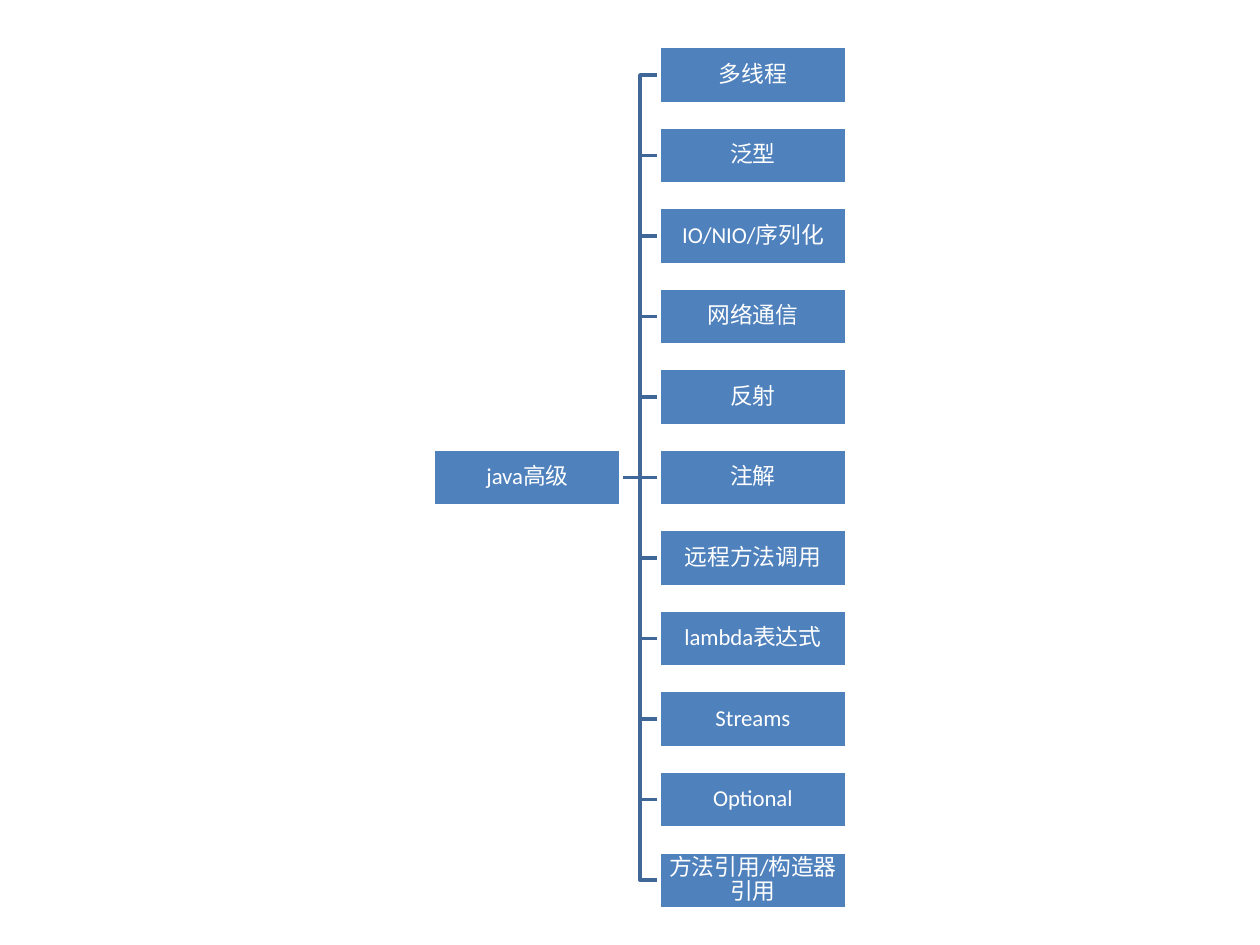
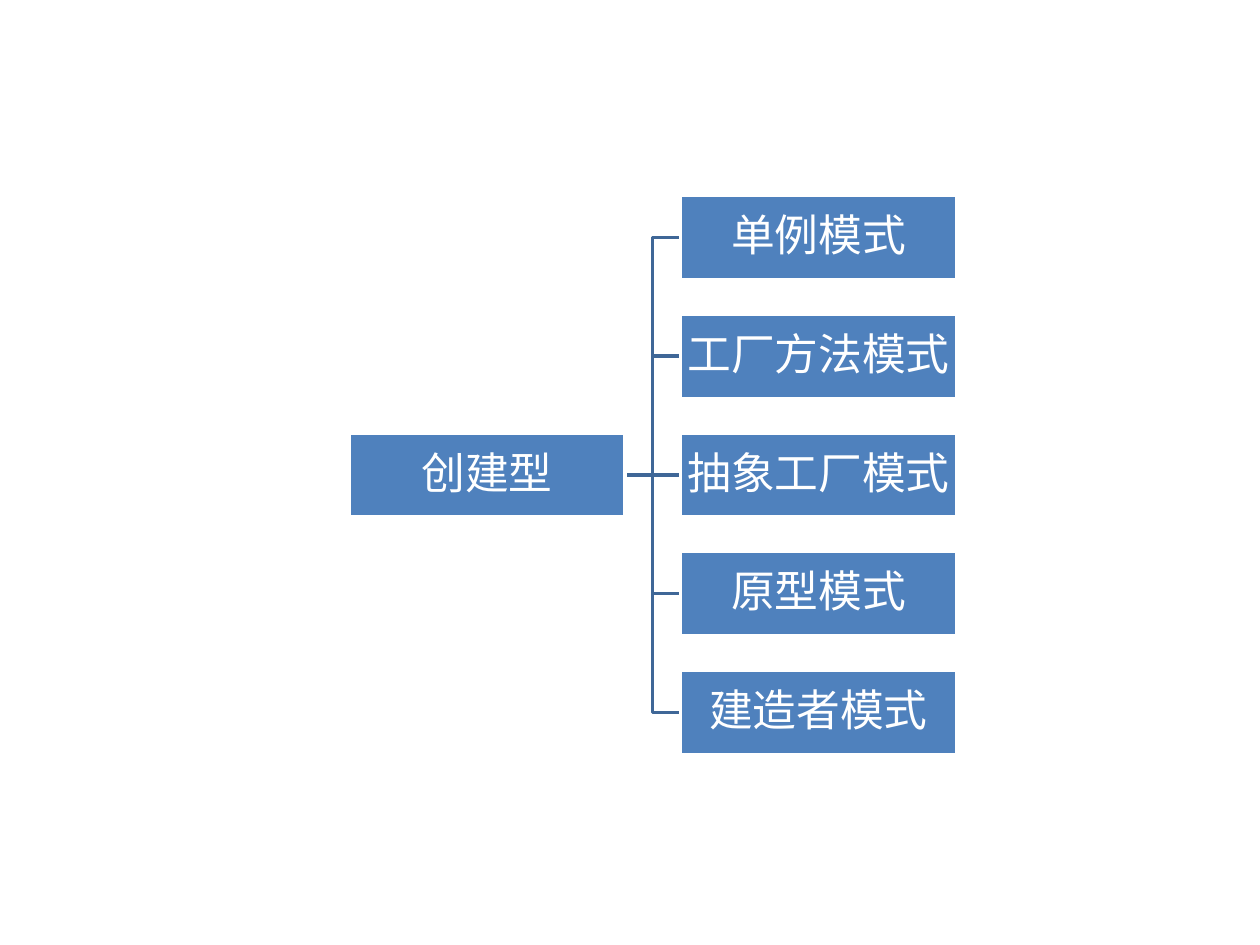
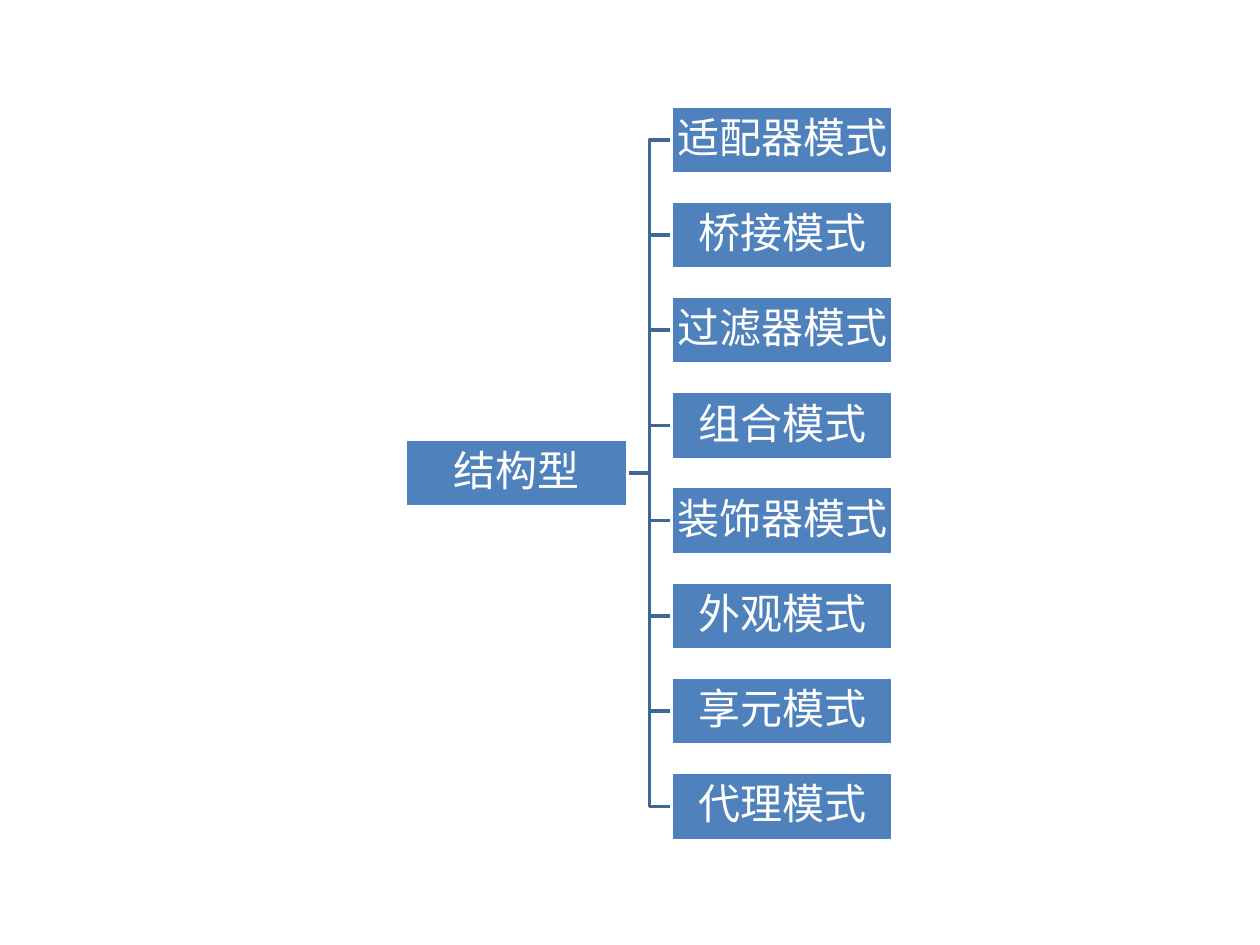
from pptx import Presentation
from pptx.dml.color import RGBColor
from pptx.enum.shapes import MSO_CONNECTOR, MSO_SHAPE
from pptx.enum.text import MSO_ANCHOR, PP_ALIGN
from pptx.oxml.ns import qn
from pptx.util import Emu, Pt
from lxml import etree

RECTANGLE = MSO_SHAPE.RECTANGLE
STRAIGHT, ELBOW = MSO_CONNECTOR.STRAIGHT, MSO_CONNECTOR.ELBOW
MIDDLE, CENTER = MSO_ANCHOR.MIDDLE, PP_ALIGN.CENTER

# Shared style: 100 px to the inch
PX = 9144
SLIDE_SIZE = (1000, 750)
FONT = "Calibri"
BOX_FILL, BRANCH_COLOR, WHITE = "4F81BD", "3F6797", "FFFFFF"
LINE_WIDTH = 2
BLANK_LAYOUT = 6

# Content: one tree per slide, children stacked evenly from first to last top
TREES = [
    {
        "root": "java高级",
        "children": ["多线程", "泛型", "IO/NIO/序列化", "网络通信", "反射", "注解",
                     "远程方法调用", "lambda表达式", "Streams", "Optional",
                     "方法引用/构造器引用"],
        "root_left": 344, "child_left": 523, "tops": (37, 676),
        "box": (149, 45), "font_size": 13, "margin": 1,
    },
    {
        "root": "创建型",
        "children": ["单例模式", "工厂方法模式", "抽象工厂模式", "原型模式", "建造者模式"],
        "root_left": 277, "child_left": 540, "tops": (155, 532),
        "box": (219, 67), "font_size": 25, "margin": 2,
    },
    {
        "root": "结构型",
        "children": ["适配器模式", "桥接模式", "过滤器模式", "组合模式", "装饰器模式",
                     "外观模式", "享元模式", "代理模式"],
        "root_left": 322, "child_left": 533, "tops": (84, 613),
        "box": (176, 54), "font_size": 24, "margin": 2,
    },
]


def px(value):
    return Emu(round(value * PX))


def color(hex_value):
    return RGBColor.from_string(hex_value)


def write_text(shape, text, *, size, margin, text_color=WHITE):
    frame = shape.text_frame
    frame.word_wrap = True
    frame.vertical_anchor = MIDDLE
    frame.margin_left = frame.margin_right = px(margin)
    frame.margin_top = frame.margin_bottom = px(margin)
    paragraph = frame.paragraphs[0]
    paragraph.alignment = CENTER
    paragraph.line_spacing = 0.9
    run = paragraph.add_run()
    run.text = text
    run.font.name = FONT
    run.font.size = Pt(size)
    run.font.color.rgb = color(text_color)


def add_box(slide, text, left, top, tree):
    width, height = tree["box"]
    shape = slide.shapes.add_shape(RECTANGLE, px(left), px(top), px(width), px(height))
    shape.shadow.inherit = False
    shape.fill.solid()
    shape.fill.fore_color.rgb = color(BOX_FILL)
    shape.line.color.rgb = color(WHITE)
    shape.line.width = Pt(LINE_WIDTH)
    write_text(shape, text, size=tree["font_size"], margin=tree["margin"])


def add_branch(slide, start, end):
    kind = STRAIGHT if start[1] == end[1] else ELBOW
    connector = slide.shapes.add_connector(kind, *map(px, start + end))
    connector.line.color.rgb = color(BRANCH_COLOR)
    connector.line.width = Pt(LINE_WIDTH)
    etree.SubElement(connector._element.spPr, qn("a:effectLst"))


def add_tree(slide, tree):
    width, height = tree["box"]
    first, last = tree["tops"]
    count = len(tree["children"])
    child_tops = [first + (last - first) * row / (count - 1) for row in range(count)]
    root_top = (first + last) / 2

    # Branches lie behind the boxes
    start = (tree["root_left"] + width, root_top + height / 2)
    for top in reversed(child_tops):
        add_branch(slide, start, (tree["child_left"], top + height / 2))

    # Root and children
    add_box(slide, tree["root"], tree["root_left"], root_top, tree)
    for text, top in zip(tree["children"], child_tops):
        add_box(slide, text, tree["child_left"], top, tree)


def main():
    presentation = Presentation()
    presentation.slide_width, presentation.slide_height = map(px, SLIDE_SIZE)
    for tree in TREES:
        slide = presentation.slides.add_slide(presentation.slide_layouts[BLANK_LAYOUT])
        add_tree(slide, tree)
    presentation.save("out.pptx")


if __name__ == "__main__":
    main()
